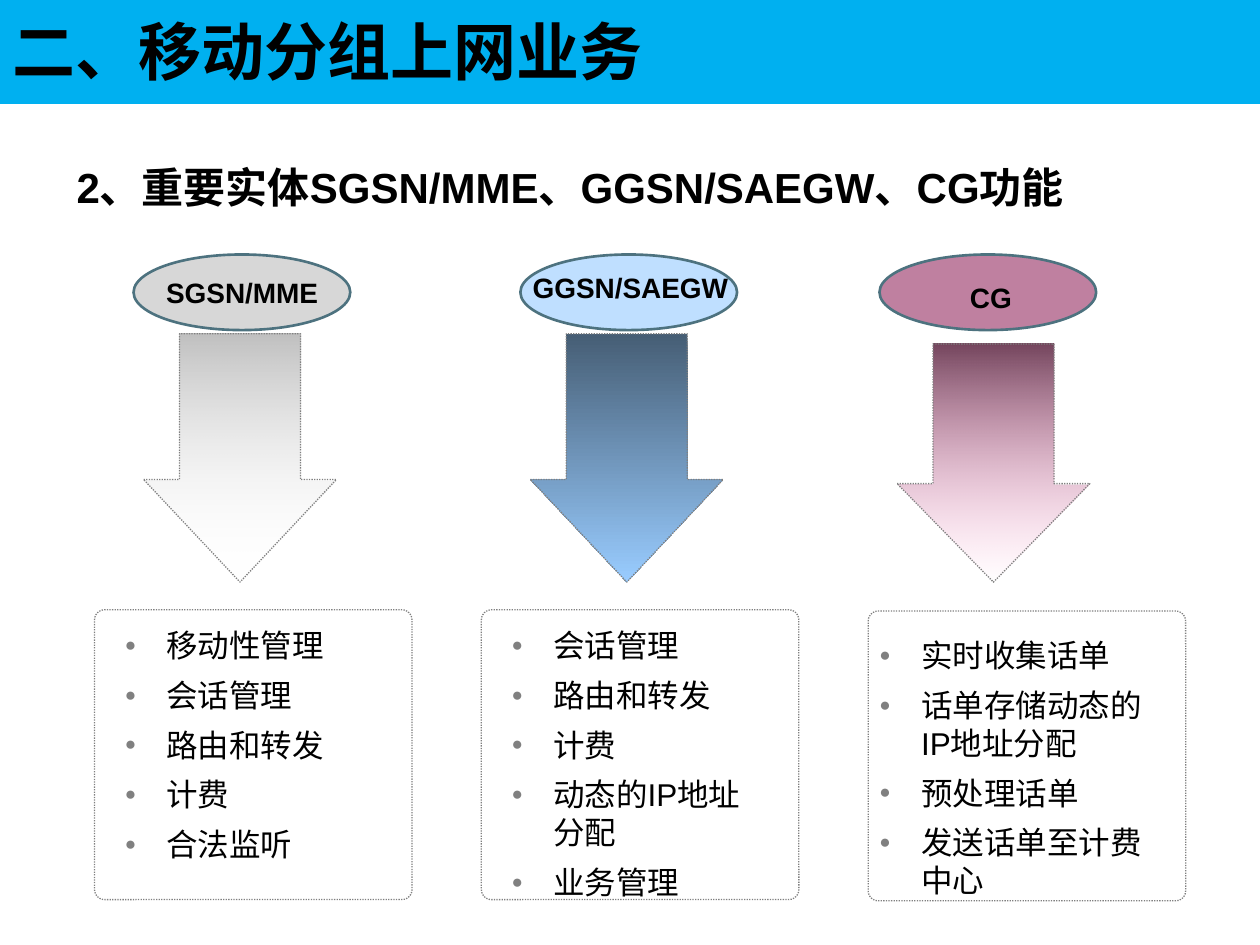
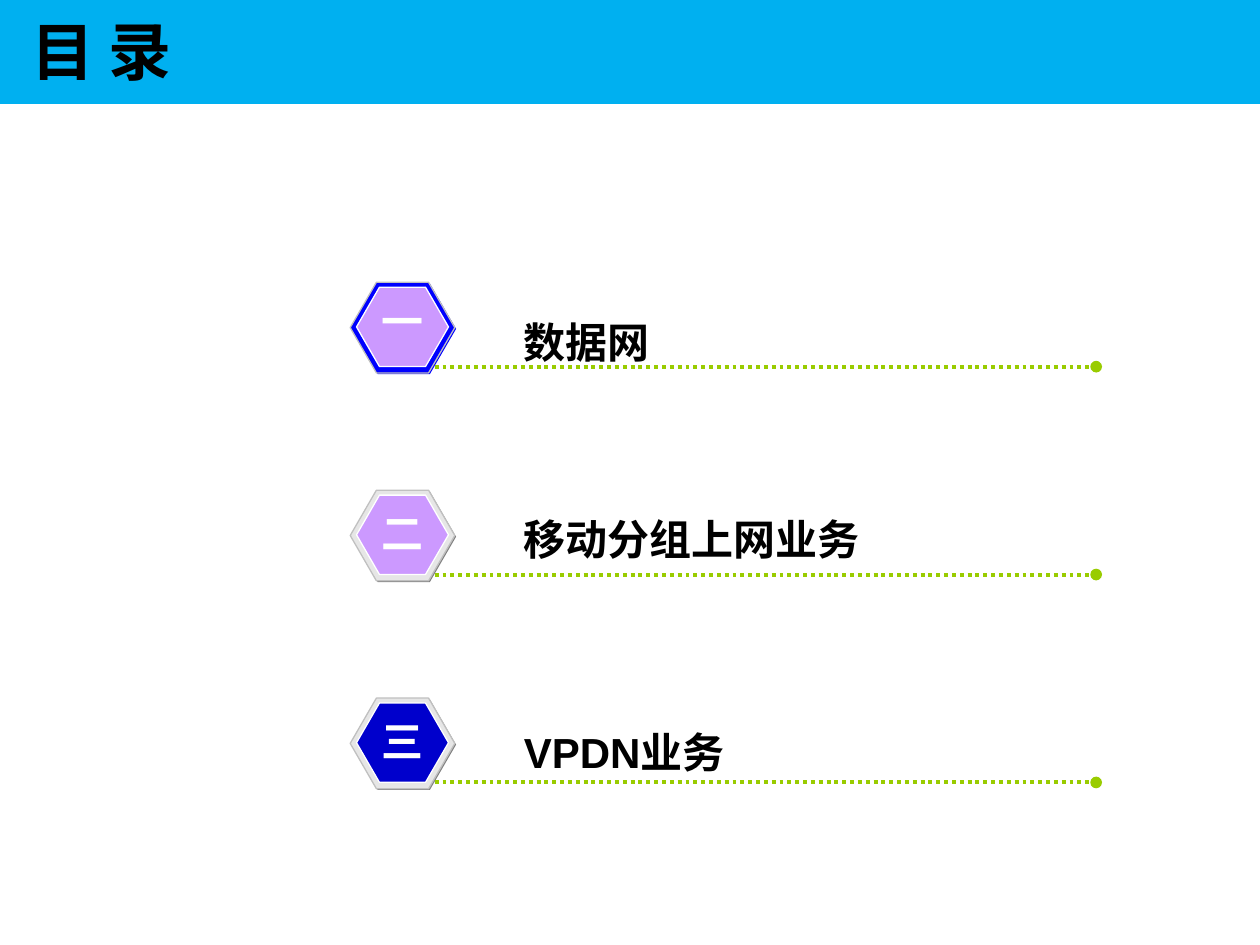
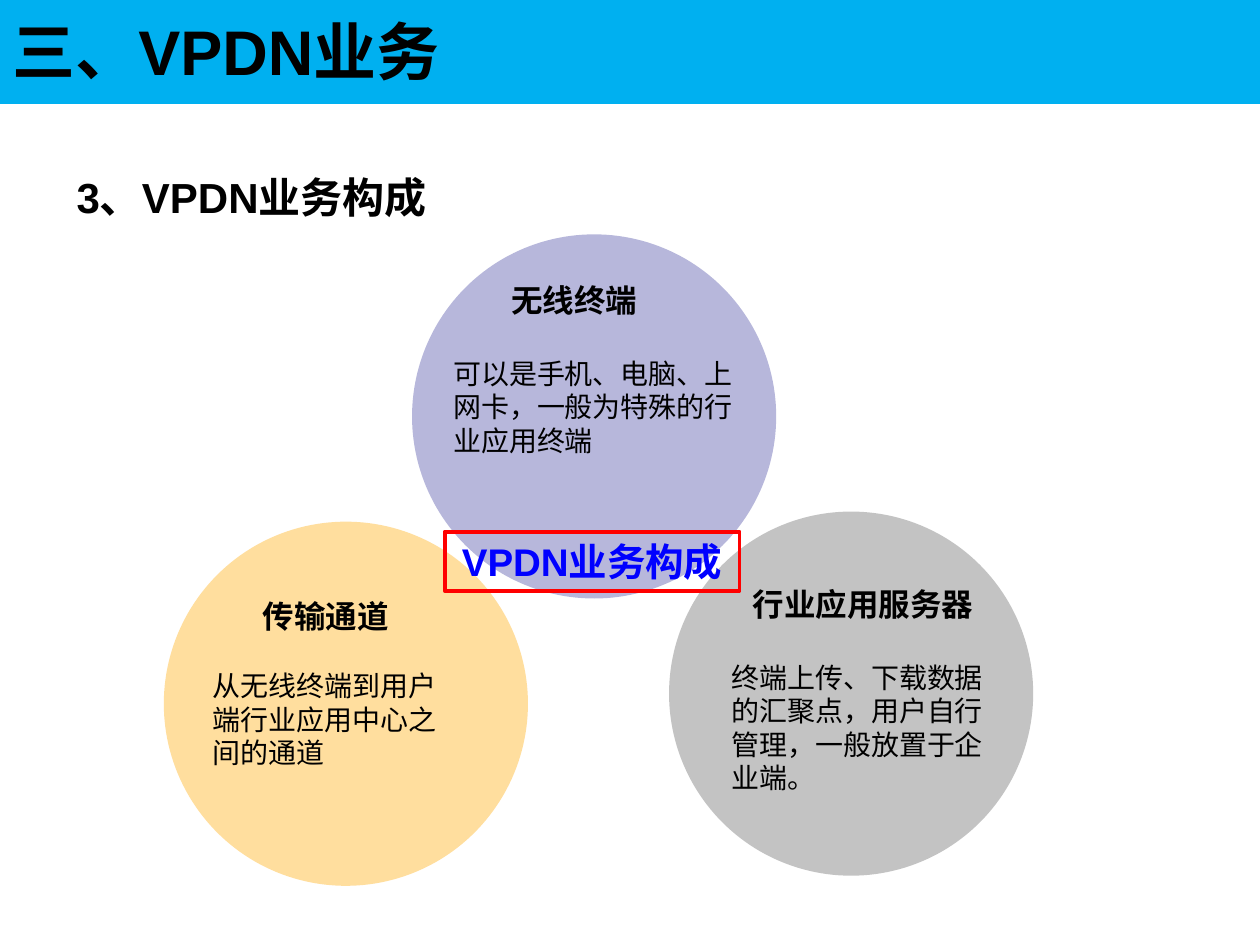
from dataclasses import dataclass

from pptx import Presentation
from pptx.dml.color import RGBColor
from pptx.enum.dml import MSO_LINE
from pptx.enum.shapes import MSO_CONNECTOR, MSO_SHAPE
from pptx.enum.text import MSO_ANCHOR, PP_ALIGN
from pptx.oxml.ns import qn
from pptx.oxml.xmlchemy import OxmlElement
from pptx.shapes.autoshape import Shape
from pptx.slide import Slide
from pptx.text.text import TextFrame
from pptx.util import Inches, Pt

RECTANGLE = MSO_SHAPE.RECTANGLE
ROUNDED = MSO_SHAPE.ROUNDED_RECTANGLE
OVAL = MSO_SHAPE.OVAL
DOWN_ARROW = MSO_SHAPE.DOWN_ARROW
HEXAGON = MSO_SHAPE.HEXAGON
STRAIGHT = MSO_CONNECTOR.STRAIGHT
DOTTED = MSO_LINE.ROUND_DOT
LEFT, CENTER = PP_ALIGN.LEFT, PP_ALIGN.CENTER
TOP, MIDDLE = MSO_ANCHOR.TOP, MSO_ANCHOR.MIDDLE

LATIN_FONT = "Arial"
CHINESE_FONT = "Noto Sans CJK SC"

BLACK = RGBColor(0x00, 0x00, 0x00)
WHITE = RGBColor(0xFF, 0xFF, 0xFF)
SKY = RGBColor(0x00, 0xB0, 0xF0)
BLUE = RGBColor(0x00, 0x00, 0xFF)
NAVY = RGBColor(0x00, 0x00, 0xCC)
RED = RGBColor(0xFF, 0x00, 0x00)
GREEN = RGBColor(0x99, 0xCC, 0x00)
LILAC = RGBColor(0xCC, 0x99, 0xFF)
INDIGO = RGBColor(0x33, 0x33, 0x99)
AMBER = RGBColor(0xFF, 0xCC, 0x66)
PALE_BLUE = RGBColor(0x99, 0xCC, 0xFF)
DARK_BLUE = RGBColor(0x46, 0x5E, 0x75)
PLUM = RGBColor(0x99, 0x33, 0x66)
DARK_PLUM = RGBColor(0x75, 0x46, 0x5E)
PINK = RGBColor(0xFF, 0x99, 0xCC)
TEAL = RGBColor(0x4D, 0x72, 0x7F)
GRAY = RGBColor(0x80, 0x80, 0x80)
MID_GRAY = RGBColor(0x99, 0x99, 0x99)
SILVER = RGBColor(0xC0, 0xC0, 0xC0)
PALE_GRAY = RGBColor(0xE6, 0xE6, 0xE6)


@dataclass(frozen=True)
class Area:
    """A place on the slide, in inches."""
    left: float
    top: float
    width: float
    height: float

    def lengths(self) -> tuple:
        return tuple(Inches(v) for v in (self.left, self.top, self.width, self.height))


@dataclass(frozen=True)
class Style:
    size: float
    bold: bool = True
    color: RGBColor = BLACK
    latin: str = LATIN_FONT


TITLE = Style(36)
HEADING = Style(24)
ENTITY_NAME = Style(16)
DUTY = Style(18, bold=False)
CIRCLE_HEAD = Style(18)
CIRCLE_BODY = Style(16, bold=False)


@dataclass(frozen=True)
class Entity:
    name: str
    name_area: Area
    name_indent: float
    oval_left: float
    oval_color: RGBColor
    arrow: Area
    arrow_head: float
    arrow_colors: tuple[RGBColor, RGBColor]
    arrow_alphas: tuple[int, int]
    panel_top: float
    duties_area: Area
    duties: tuple[str, ...]


@dataclass(frozen=True)
class Chapter:
    numeral: str
    numeral_top: float
    label: str
    label_top: float
    latin: str
    shade: RGBColor
    rim: RGBColor
    face: RGBColor


@dataclass(frozen=True)
class Circle:
    left: float
    top: float
    color: RGBColor
    alpha: int
    text_area: Area
    head: str
    head_align: PP_ALIGN
    head_indent: float
    body: str
    gap: float


ENTITIES = (
    Entity("SGSN/MME", Area(1.22, 2.14, 1.65, 0.51), 0, 1.06, SILVER,
           Area(1.14, 2.65, 1.53, 1.97), 0.532, (GRAY, WHITE), (50, 0),
           4.84, Area(0.9, 4.93, 2.05, 2.28),
           ("移动性管理", "会话管理", "路由和转发", "计费", "合法监听")),
    Entity("GGSN/SAEGW", Area(4.13, 2.1, 1.97, 0.51), 0, 4.13, PALE_BLUE,
           Area(4.21, 2.65, 1.53, 1.97), 0.532, (DARK_BLUE, PALE_BLUE), (100, 100),
           4.84, Area(3.97, 4.93, 2.05, 2.36),
           ("会话管理", "路由和转发", "计费", "动态的IP地址分配", "业务管理")),
    Entity("CG", Area(7.05, 2.18, 1.97, 0.51), 0.55, 6.98, PLUM,
           Area(7.12, 2.73, 1.53, 1.89), 0.511, (DARK_PLUM, PINK), (100, 0),
           4.85, Area(6.89, 5.01, 2.36, 2.28),
           ("实时收集话单", "话单存储动态的IP地址分配", "预处理话单", "发送话单至计费中心")),
)
PANEL_LEFT, PANEL_PITCH = 0.75, 3.07

CHAPTERS = (
    Chapter("一", 2.3, "数据网", 2.46, CHINESE_FONT, BLUE, BLUE, LILAC),
    Chapter("二", 3.98, "移动分组上网业务", 4.03, LATIN_FONT, GRAY, PALE_GRAY, LILAC),
    Chapter("三", 5.63, "VPDN业务", 5.72, LATIN_FONT, GRAY, PALE_GRAY, NAVY),
)
CHAPTER_TOP, CHAPTER_PITCH = 2.24, 1.65

CIRCLES = (
    Circle(3.27, 1.86, INDIGO, 35, Area(3.5, 2.18, 2.5, 1.5), "无线终端", LEFT, 0.46,
           "可以是手机、电脑、上网卡，一般为特殊的行业应用终端", 21.6),
    Circle(5.31, 4.06, MID_GRAY, 58, Area(5.71, 4.59, 2.28, 1.77), "行业应用服务器", CENTER, 0,
           "终端上传、下载数据的汇聚点，用户自行管理，一般放置于企业端。", 21.6),
    Circle(1.3, 4.14, AMBER, 63, Area(1.59, 4.69, 1.99, 1.47), "传输通道", CENTER, 0,
           "从无线终端到用户端行业应用中心之间的通道", 19.2),
)
CIRCLE_SIZE = 2.89


def add_child(parent, tag: str, **attributes: str):
    child = OxmlElement(tag)
    for name, value in attributes.items():
        child.set(name, value)
    parent.append(child)
    return child


def set_alphas(shape: Shape, *percents: int) -> None:
    """Set the opacity of the fill colours, in their order."""
    colors = list(shape.element.spPr.iter(qn("a:srgbClr")))
    for color, percent in zip(colors, percents):
        add_child(color, "a:alpha", val=str(percent * 1000))


def add_outlined(page: Slide, kind: MSO_SHAPE, area: Area, fill: RGBColor | None = None,
                 line: RGBColor | None = None, width: float = 0.75) -> Shape:
    shape = page.shapes.add_shape(kind, *area.lengths())
    shape.shadow.inherit = False
    if fill is None:
        shape.fill.background()
    else:
        shape.fill.solid()
        shape.fill.fore_color.rgb = fill
    if line is None:
        shape.line.fill.background()
    else:
        shape.line.color.rgb = line
        shape.line.width = Pt(width)
    return shape


def add_paragraph(frame: TextFrame, text: str, style: Style, align: PP_ALIGN = LEFT,
                  indent: float = 0, before: float = 0, bullet: bool = False) -> None:
    """Fill the empty first paragraph, or add one with space before it."""
    para = frame.paragraphs[0]
    if para.runs:
        para = frame.add_paragraph()
        para.space_before = Pt(before)
    para.alignment = align
    properties = para._p.get_or_add_pPr()
    if indent:
        properties.set("marL", str(Inches(indent)))
    if bullet:
        properties.set("indent", str(-Inches(indent)))
        add_child(add_child(properties, "a:buClr"), "a:srgbClr", val=str(GRAY))
        add_child(properties, "a:buSzPct", val="60000")
        add_child(properties, "a:buFont", typeface=LATIN_FONT)
        add_child(properties, "a:buChar", char="●")
    span = para.add_run()
    span.text = text
    span.font.size = Pt(style.size)
    span.font.bold = style.bold
    span.font.color.rgb = style.color
    span.font.name = style.latin
    add_child(span.font._element, "a:ea", typeface=CHINESE_FONT)


def add_frame(page: Slide, area: Area, wrap: bool = True) -> TextFrame:
    frame = page.shapes.add_textbox(*area.lengths()).text_frame
    frame.word_wrap = wrap
    frame.vertical_anchor = TOP
    return frame


def add_page(deck: Presentation, title: str, title_left: float = 0,
             style: Style = TITLE) -> Slide:
    page = deck.slides.add_slide(deck.slide_layouts[6])
    add_outlined(page, RECTANGLE, Area(-0.01, 0, 10.01, 0.81), SKY, SKY, 2)
    add_paragraph(add_frame(page, Area(title_left, 0.05, 8.23, 0.7)), title, style)
    return page


def add_entity(page: Slide, entity: Entity, panel_left: float) -> None:
    oval = add_outlined(page, OVAL, Area(entity.oval_left, 2.02, 1.72, 0.6),
                        entity.oval_color, TEAL, 1.5)
    set_alphas(oval, 62)
    add_paragraph(add_frame(page, entity.name_area), entity.name, ENTITY_NAME,
                  indent=entity.name_indent)

    arrow = add_outlined(page, DOWN_ARROW, entity.arrow, line=GRAY)
    arrow.adjustments[0] = 0.628
    arrow.adjustments[1] = entity.arrow_head
    arrow.fill.gradient()
    arrow.fill.gradient_angle = 270
    for stop, color in zip(arrow.fill.gradient_stops, entity.arrow_colors):
        stop.color.rgb = color
    set_alphas(arrow, *entity.arrow_alphas)

    panel = add_outlined(page, ROUNDED, Area(panel_left, entity.panel_top, 2.52, 2.3), line=GRAY)
    panel.adjustments[0] = 0.035
    for shape in (arrow, panel):
        shape.line.dash_style = DOTTED

    frame = add_frame(page, entity.duties_area)
    frame.margin_left = frame.margin_right = Inches(0.09)
    frame.margin_top = frame.margin_bottom = Inches(0.04)
    for duty in entity.duties:
        add_paragraph(frame, duty, DUTY, indent=0.33, before=6.8, bullet=True)


def add_dotted_rule(page: Slide, top: float) -> None:
    rule = page.shapes.add_connector(STRAIGHT, Inches(3.45), Inches(top),
                                     Inches(8.7), Inches(top))
    rule.line.color.rgb = GREEN
    rule.line.width = Pt(2.25)
    rule.line.dash_style = DOTTED
    add_child(rule.line._get_or_add_ln(), "a:tailEnd", type="oval")
    add_child(rule._element.spPr, "a:effectLst")


def add_chapter(page: Slide, chapter: Chapter, top: float) -> None:
    hexagons = (
        (Area(2.79, top + 0.01, 0.83, 0.72), chapter.shade, None),
        (Area(2.78, top, 0.83, 0.72), chapter.rim, SILVER),
        (Area(2.83, top + 0.04, 0.73, 0.63), chapter.face, WHITE),
    )
    for area, fill, line in hexagons:
        add_outlined(page, HEXAGON, area, fill, line).adjustments[0] = 0.289
    add_dotted_rule(page, top + 0.67)
    label = add_frame(page, Area(4.06, chapter.label_top, 3.86, 0.5))
    add_paragraph(label, chapter.label, Style(24, latin=chapter.latin))
    numeral = add_frame(page, Area(2.93, chapter.numeral_top, 0.53, 0.5), wrap=False)
    add_paragraph(numeral, chapter.numeral, Style(24, color=WHITE, latin=CHINESE_FONT), CENTER)


def build_entities(deck: Presentation) -> None:
    page = add_page(deck, "二、移动分组上网业务")
    add_paragraph(add_frame(page, Area(0.51, 1.23, 8.5, 1.3)),
                  "2、重要实体SGSN/MME、GGSN/SAEGW、CG功能", HEADING)
    for column, entity in enumerate(ENTITIES):
        add_entity(page, entity, PANEL_LEFT + column * PANEL_PITCH)


def build_contents(deck: Presentation) -> None:
    page = add_page(deck, "目 录", 0.15, Style(36, latin=CHINESE_FONT))
    for row, chapter in enumerate(CHAPTERS):
        add_chapter(page, chapter, CHAPTER_TOP + row * CHAPTER_PITCH)


def build_composition(deck: Presentation) -> None:
    page = add_page(deck, "三、VPDN业务")
    add_paragraph(add_frame(page, Area(0.51, 1.31, 8.5, 0.71)), "3、VPDN业务构成", HEADING)
    for circle in CIRCLES:
        disc = add_outlined(page, OVAL, Area(circle.left, circle.top, CIRCLE_SIZE, CIRCLE_SIZE),
                            circle.color)
        set_alphas(disc, circle.alpha)
    label = add_outlined(page, RECTANGLE, Area(3.53, 4.22, 2.34, 0.47), line=RED, width=2.25)
    label.text_frame.word_wrap = False
    label.text_frame.vertical_anchor = MIDDLE
    add_paragraph(label.text_frame, "VPDN业务构成", Style(22, color=BLUE), CENTER)
    for circle in CIRCLES:
        frame = add_frame(page, circle.text_area)
        add_paragraph(frame, circle.head, CIRCLE_HEAD, circle.head_align, circle.head_indent)
        add_paragraph(frame, circle.body, CIRCLE_BODY, before=circle.gap)


def main() -> None:
    deck = Presentation()
    deck.slide_width, deck.slide_height = Inches(10), Inches(7.5)
    build_entities(deck)
    build_contents(deck)
    build_composition(deck)
    deck.save("out.pptx")


if __name__ == "__main__":
    main()
